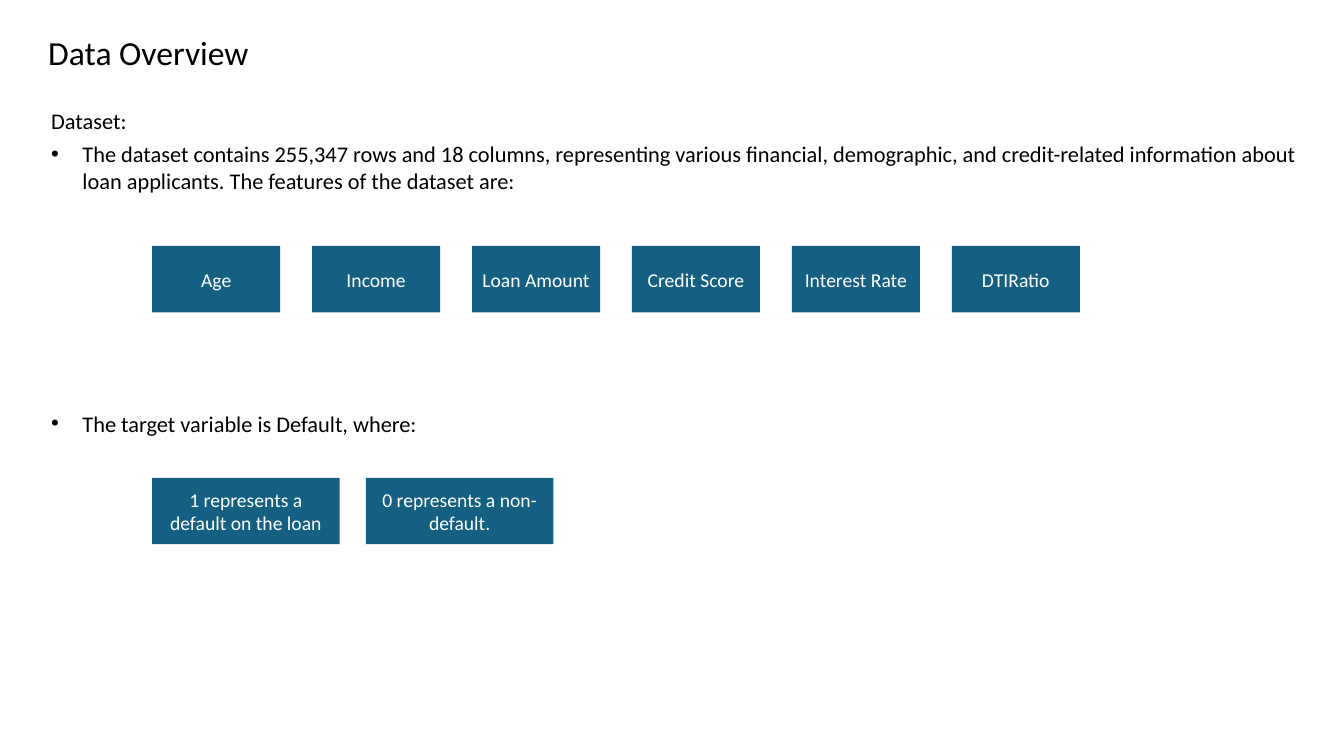
from lxml import etree
from pptx import Presentation
from pptx.dml.color import RGBColor
from pptx.enum import shapes, text
from pptx.oxml import ns
from pptx.util import Inches, Pt

COLORS = {"text": "000000", "box": "156082", "box_text": "FFFFFF"}
FONT = "Calibri"

prs = Presentation()
prs.slide_width, prs.slide_height = Inches(13.33), Inches(7.5)
slide = prs.slides.add_slide(prs.slide_layouts[6])


def style(paragraph, size, color):
    paragraph.font.name = FONT
    paragraph.font.size = Pt(size)
    paragraph.font.color.rgb = RGBColor.from_string(COLORS[color])


# Title
title = slide.shapes.add_textbox(Inches(0.38), Inches(0.27), Inches(7.01), Inches(0.5)).text_frame
title.word_wrap = True
title.text = "Data Overview"
style(title.paragraphs[0], 24, "text")

# Dataset description; the spacing leaves room for the feature boxes
description = slide.shapes.add_textbox(
    Inches(0.41), Inches(1.01), Inches(12.65), Inches(3.37)).text_frame
description.word_wrap = True
description.text = "Dataset:"
style(description.paragraphs[0], 16, "text")

bullets = [
    ("The dataset contains 255,347 rows and 18 columns, representing various financial, "
     "demographic, and credit-related information about loan applicants. "
     "The features of the dataset are:", 5),
    ("The target variable is Default, where:", 154),
]
for wording, space_before in bullets:
    bullet = description.add_paragraph()
    bullet.text = wording
    bullet.space_before = Pt(space_before)
    style(bullet, 16, "text")
    properties = bullet._p.get_or_add_pPr()
    properties.set("marL", str(Inches(0.31)))
    properties.set("indent", str(-Inches(0.31)))
    etree.SubElement(properties, ns.qn("a:buFont")).set("typeface", "Arial")
    etree.SubElement(properties, ns.qn("a:buChar")).set("char", "•")
    # Bullet marks must precede the default run properties
    properties.append(properties.find(ns.qn("a:defRPr")))

# Feature boxes and target values: labels, first left, last left, top, width
features = ["Age", "Income", "Loan Amount", "Credit Score", "Interest Rate", "DTIRatio"]
targets = ["1 represents a default on the loan", "0 represents a non-default."]
rows = [
    (features, 1.51, 9.44, 2.44, 1.27),
    (targets, 1.51, 3.63, 4.74, 1.86),
]
for labels, first, last, top, width in rows:
    row = slide.shapes.add_group_shape()
    pitch = (last - first) / (len(labels) - 1)
    for i, label in enumerate(labels):
        box = row.shapes.add_shape(
            shapes.MSO_SHAPE.RECTANGLE,
            Inches(first + i * pitch), Inches(top), Inches(width), Inches(0.66))
        box.shadow.inherit = False
        box.fill.solid()
        box.fill.fore_color.rgb = RGBColor.from_string(COLORS["box"])
        box.line.fill.background()
        box.text_frame.word_wrap = True
        box.text_frame.vertical_anchor = text.MSO_ANCHOR.MIDDLE
        box.text_frame.text = label
        box.text_frame.paragraphs[0].alignment = text.PP_ALIGN.CENTER
        style(box.text_frame.paragraphs[0], 14, "box_text")

prs.save("out.pptx")
